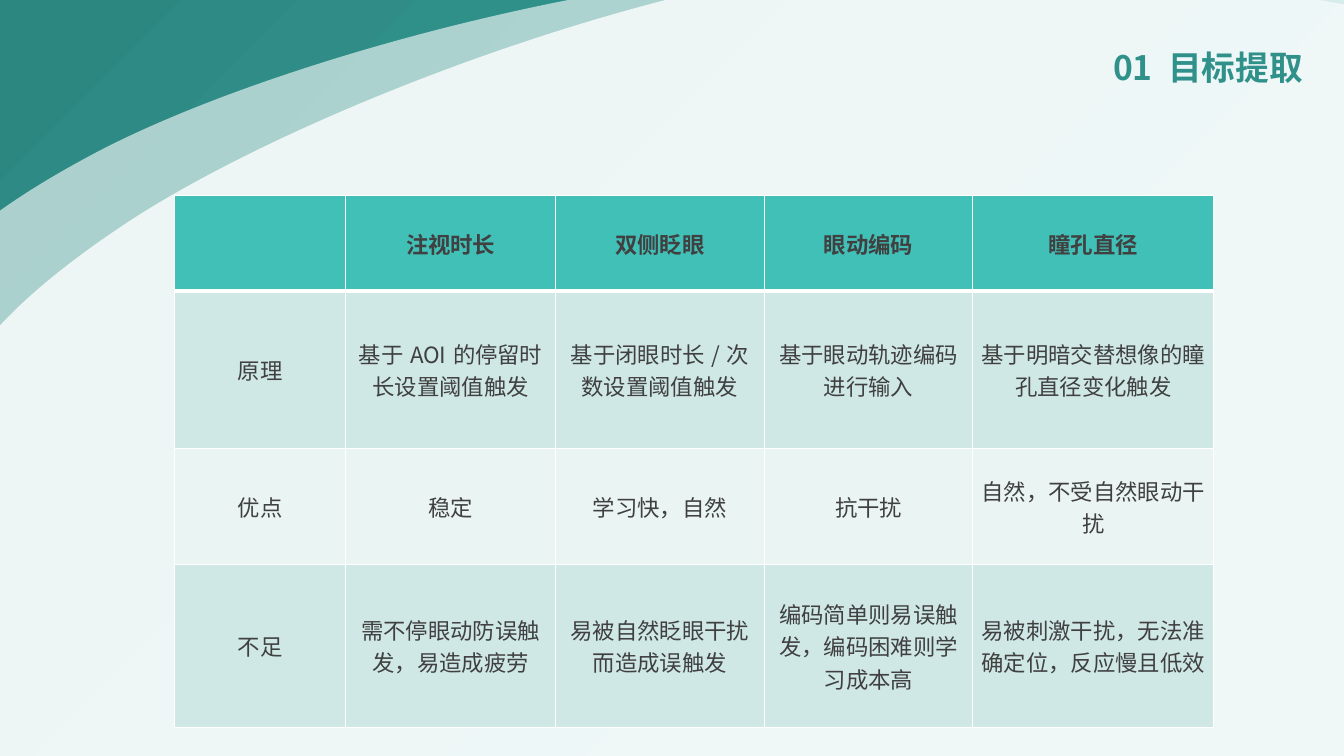
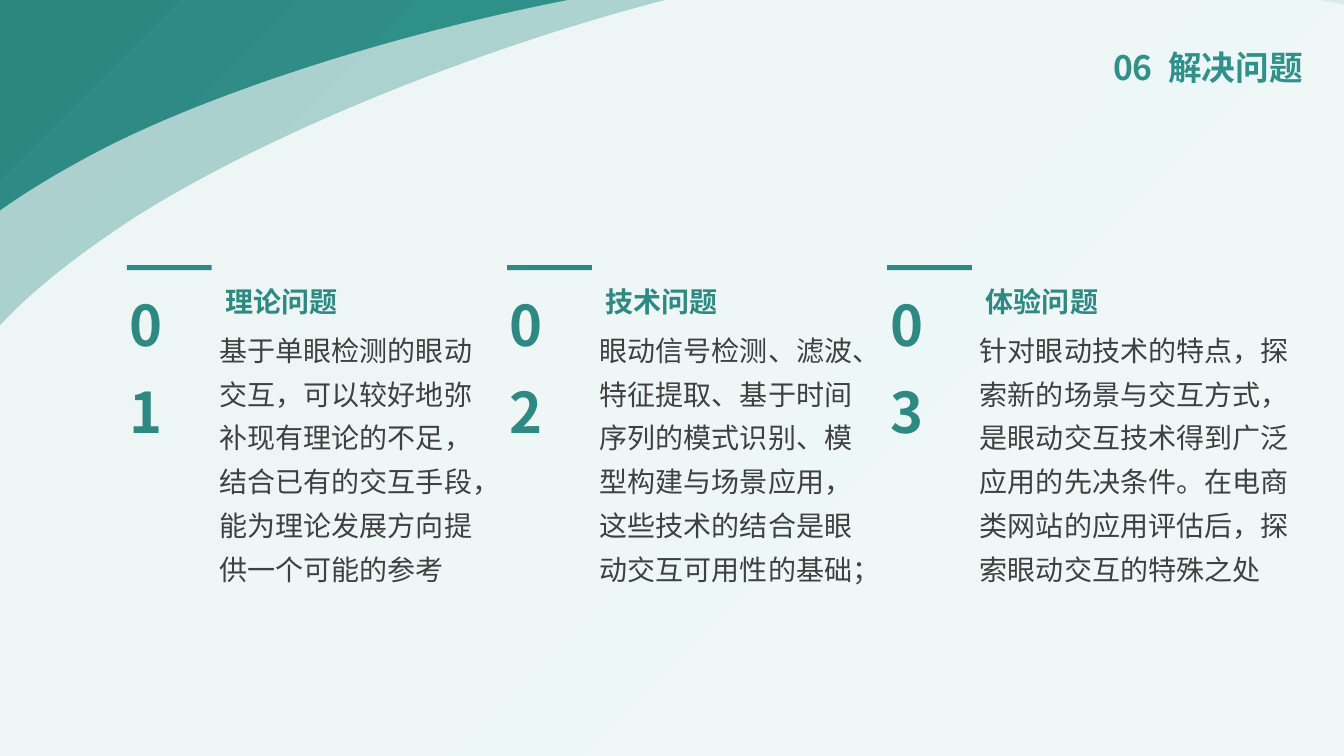
"""Build two slides on eye-movement input: a table of methods and three open problems."""
from copy import deepcopy
from dataclasses import dataclass

from lxml.etree import SubElement
from pptx import Presentation
from pptx.dml.color import RGBColor
from pptx.enum.shapes import MSO_SHAPE
from pptx.enum.text import MSO_ANCHOR, PP_ALIGN
from pptx.oxml.ns import qn
from pptx.util import Inches, Pt

Point = tuple[float, float]


@dataclass(frozen=True)
class Theme:
    font: str = "Noto Sans CJK SC"
    title: str = "30918B"
    accent: str = "2E8983"
    text: str = "404040"
    white: str = "FFFFFF"
    header: str = "41C0B8"
    bands: tuple[str, str] = ("CFE8E6", "E9F4F3")
    stops: tuple[tuple[float, str], ...] = (
        (0, "39ACA5"), (0.23, "39ACA5"), (0.69, "30918B"), (0.97, "2D8781"))
    title_size: int = 24
    body_size: int = 20
    cell_size: int = 16
    number_size: int = 40


@dataclass(frozen=True)
class Style:
    size: int
    color: str
    bold: bool = False
    align: PP_ALIGN = PP_ALIGN.LEFT
    spacing: float | None = None


@dataclass(frozen=True)
class Box:
    left: float
    top: float
    width: float
    height: float

    def place(self) -> tuple[int, ...]:
        return tuple(Inches(n) for n in (self.left, self.top, self.width, self.height))


@dataclass(frozen=True)
class Wave:
    left: float
    top: float
    turn: float
    alpha: int


@dataclass(frozen=True)
class Topic:
    number: str
    head: str
    body: str
    width: float


THEME = Theme()
WIDTH, HEIGHT = 13.33, 7.5

WAVES = (Wave(-1.93, -0.34, 0, 60), Wave(-1.38, -0.39, 354.1, 80))
WAVE_SIZE = (20.44, 9.93)
START = (0.58, 4.23)
CURVES = (
    ((0.91, 3.31), (1.32, 2.68), (2.89, 1.85)),
    ((4.45, 1.03), (7.57, 0.14), (10.06, 0.02)),
    ((12.56, -0.1), (16.29, 0.33), (17.85, 1.16)),
    ((19.42, 1.98), (21.2, 4.5), (20.11, 5.8)),
    ((19.01, 7.11), (13.26, 9.65), (10.06, 9.91)),
    ((6.86, 10.17), (2.45, 8.19), (0.89, 7.36)),
    ((-0.68, 6.54), (0.25, 5.15), START),
)

COLS = (1.7, 2.08, 2.07, 2.07, 2.39)
ROWS = (0.95, 1.56, 1.15, 1.62)
CELLS = (
    ("", "注视时长", "双侧眨眼", "眼动编码", "瞳孔直径"),
    ("原理", "基于AOI的停留时长设置阈值触发", "基于闭眼时长/次数设置阈值触发",
     "基于眼动轨迹编码进行输入", "基于明暗交替想像的瞳孔直径变化触发"),
    ("优点", "稳定", "学习快，自然", "抗干扰", "自然，不受自然眼动干扰"),
    ("不足", "需不停眼动防误触发，易造成疲劳", "易被自然眨眼干扰而造成误触发",
     "编码简单则易误触发，编码困难则学习成本高", "易被刺激干扰，无法准确定位，反应慢且低效"),
)

TOPICS = (
    Topic("01", "理论问题",
          "基于单眼检测的眼动交互，可以较好地弥补现有理论的不足，"
          "结合已有的交互手段，能为理论发展方向提供一个可能的参考", 2.75),
    Topic("02", "技术问题",
          "眼动信号检测、滤波、特征提取、基于时间序列的模式识别、"
          "模型构建与场景应用，这些技术的结合是眼动交互可用性的基础；", 2.75),
    Topic("03", "体验问题",
          "针对眼动技术的特点，探索新的场景与交互方式，是眼动交互技术得到广泛应用的先决条件。"
          "在电商类网站的应用评估后，探索眼动交互的特殊之处", 3.39),
)


def color(code: str) -> RGBColor:
    return RGBColor.from_string(code)


def write(frame, text: str, style: Style) -> None:
    frame.text = text
    for para in frame.paragraphs:
        para.alignment = style.align
        if style.spacing:
            para.line_spacing = style.spacing
        for run in para.runs:
            font = run.font
            font.size = Pt(style.size)
            font.bold = style.bold
            font.color.rgb = color(style.color)
            font.name = THEME.font


def add_text(slide, box: Box, text: str, style: Style, wrap: bool = True):
    frame = slide.shapes.add_textbox(*box.place()).text_frame
    frame.word_wrap = wrap
    write(frame, text, style)
    return frame


def add_rect(slide, box: Box):
    rect = slide.shapes.add_shape(MSO_SHAPE.RECTANGLE, *box.place())
    rect.shadow.inherit = False
    rect.line.fill.background()
    return rect


def add_back(slide) -> None:
    rect = add_rect(slide, Box(0, 0, WIDTH, HEIGHT))
    fill = rect.fill
    fill.gradient()
    fill.gradient_angle = 135
    stops = next(rect.element.iter(qn("a:gsLst")))
    while len(stops) < len(THEME.stops):
        stops.append(deepcopy(stops[0]))
    for stop, (place, code) in zip(fill.gradient_stops, THEME.stops):
        stop.position = place
        stop.color.rgb = color(code)


def add_knots(trail, kind: str, knots: tuple[Point, ...]) -> None:
    step = SubElement(trail, qn(f"a:{kind}"))
    for x, y in knots:
        SubElement(step, qn("a:pt"), x=str(Inches(x)), y=str(Inches(y)))


def bend(shape) -> None:
    trail = next(shape.element.iter(qn("a:path")))
    trail.clear()
    for name, size in zip("wh", WAVE_SIZE):
        trail.set(name, str(Inches(size)))
    add_knots(trail, "moveTo", (START,))
    for curve in CURVES:
        add_knots(trail, "cubicBezTo", curve)
    SubElement(trail, qn("a:close"))


def add_wave(slide, wave: Wave) -> None:
    pen = slide.shapes.build_freeform(*(Inches(n) for n in START))
    pen.add_line_segments([tuple(Inches(n) for n in curve[-1]) for curve in CURVES])
    shape = pen.convert_to_shape()
    bend(shape)
    box = Box(wave.left, wave.top, *WAVE_SIZE)
    shape.left, shape.top, shape.width, shape.height = box.place()
    shape.rotation = wave.turn
    shape.shadow.inherit = False
    shape.line.fill.background()
    shape.fill.solid()
    shape.fill.fore_color.rgb = color(THEME.white)
    tint = next(shape.element.iter(qn("a:srgbClr")))
    SubElement(tint, qn("a:alpha"), val=str(wave.alpha * 1000))


def add_page(deck, title: str):
    slide = deck.slides.add_slide(deck.slide_layouts[6])
    add_back(slide)
    for wave in WAVES:
        add_wave(slide, wave)
    style = Style(THEME.title_size, THEME.title, True, PP_ALIGN.RIGHT, 0.9)
    frame = add_text(slide, Box(7.22, 0.29, 5.8, 0.79), title, style)
    frame.vertical_anchor = MSO_ANCHOR.MIDDLE
    return slide


def add_edge(props, side: str, width: float) -> None:
    line = SubElement(props, qn(f"a:ln{side}"), w=str(Pt(width)))
    SubElement(SubElement(line, qn("a:solidFill")), qn("a:srgbClr"), val=THEME.white)


def add_grid(slide) -> None:
    box = Box(1.73, 1.94, sum(COLS), sum(ROWS))
    frame = slide.shapes.add_table(len(ROWS), len(COLS), *box.place())
    table = frame.table
    for col, width in zip(table.columns, COLS):
        col.width = Inches(width)
    for r, (row, height) in enumerate(zip(table.rows, ROWS)):
        row.height = Inches(height)
        top = r == 0
        style = Style(THEME.cell_size, THEME.text, top, PP_ALIGN.CENTER)
        for cell, text in zip(row.cells, CELLS[r]):
            write(cell.text_frame, text, style)
            cell.vertical_anchor = MSO_ANCHOR.MIDDLE
            cell.margin_left = cell.margin_right = Inches(0.07)
            cell.margin_top = cell.margin_bottom = Inches(0)
            props = cell._tc.get_or_add_tcPr()
            for side in "LRTB":
                add_edge(props, side, 3 if top and side == "B" else 1)
            cell.fill.solid()
            cell.fill.fore_color.rgb = color(
                THEME.header if top else THEME.bands[(r - 1) % 2])


def add_topic(slide, left: float, topic: Topic) -> None:
    bar = add_rect(slide, Box(left, 2.63, 0.84, 0.05))
    bar.fill.solid()
    bar.fill.fore_color.rgb = color(THEME.accent)
    add_text(slide, Box(left + 0.82, 3.16, topic.width, 2.68), topic.body,
             Style(THEME.body_size, THEME.text, spacing=1.3))
    add_text(slide, Box(left + 0.88, 2.67, 1.32, 0.49), topic.head,
             Style(THEME.body_size, THEME.accent, True, spacing=1.3), wrap=False)
    add_text(slide, Box(left - 0.07, 2.63, 0.84, 0.98), topic.number,
             Style(THEME.number_size, THEME.accent, True, spacing=1.3))


def set_asian(slide) -> None:
    for latin in list(slide.element.iter(qn("a:latin"))):
        asian = SubElement(latin.getparent(), qn("a:ea"), typeface=THEME.font)
        latin.addnext(asian)


def main() -> None:
    deck = Presentation()
    deck.slide_width, deck.slide_height = Inches(WIDTH), Inches(HEIGHT)
    add_grid(add_page(deck, "01 目标提取"))
    slide = add_page(deck, "06 解决问题")
    for i, topic in enumerate(TOPICS):
        add_topic(slide, 1.26 + i * 3.77, topic)
    for slide in deck.slides:
        set_asian(slide)
    deck.save("out.pptx")


if __name__ == "__main__":
    main()
